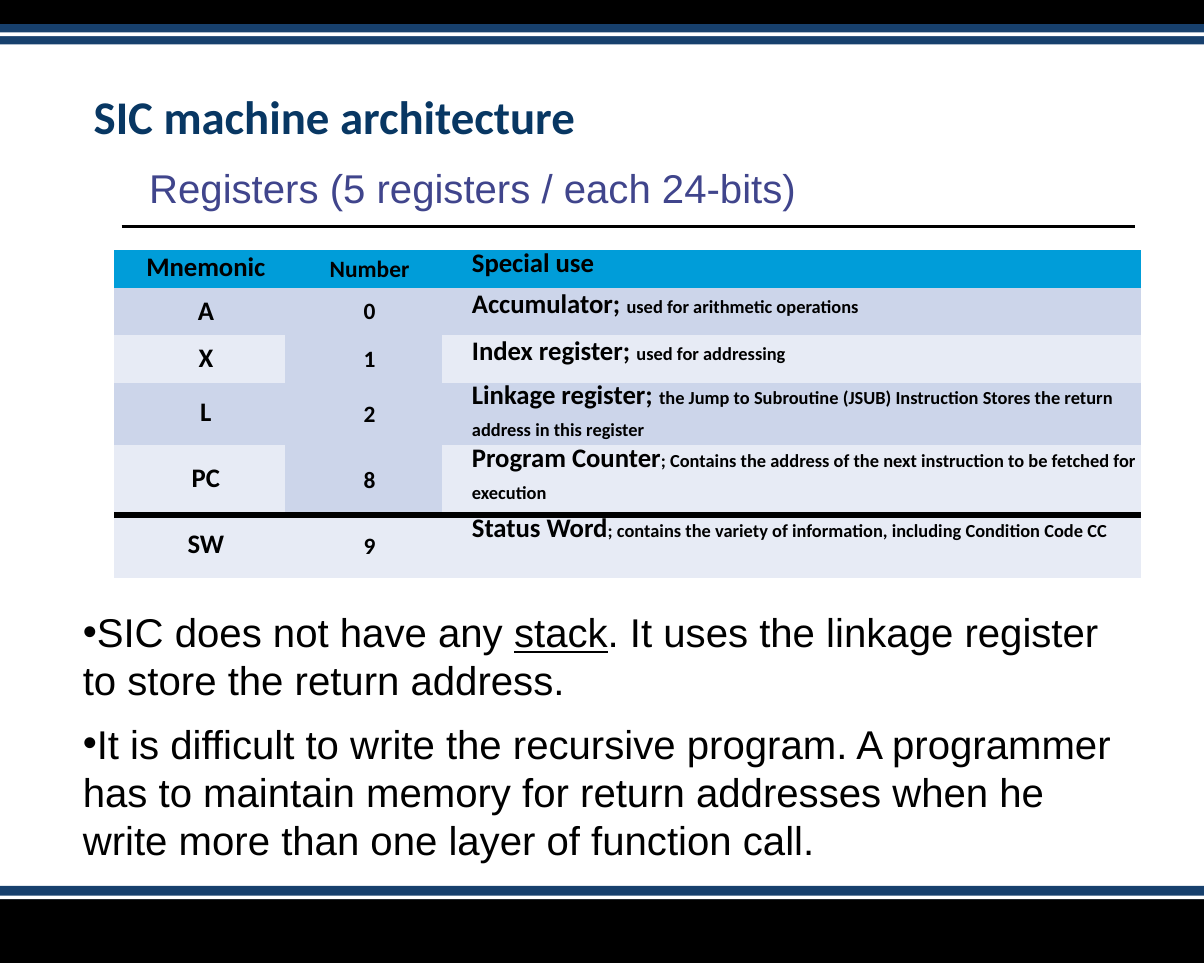
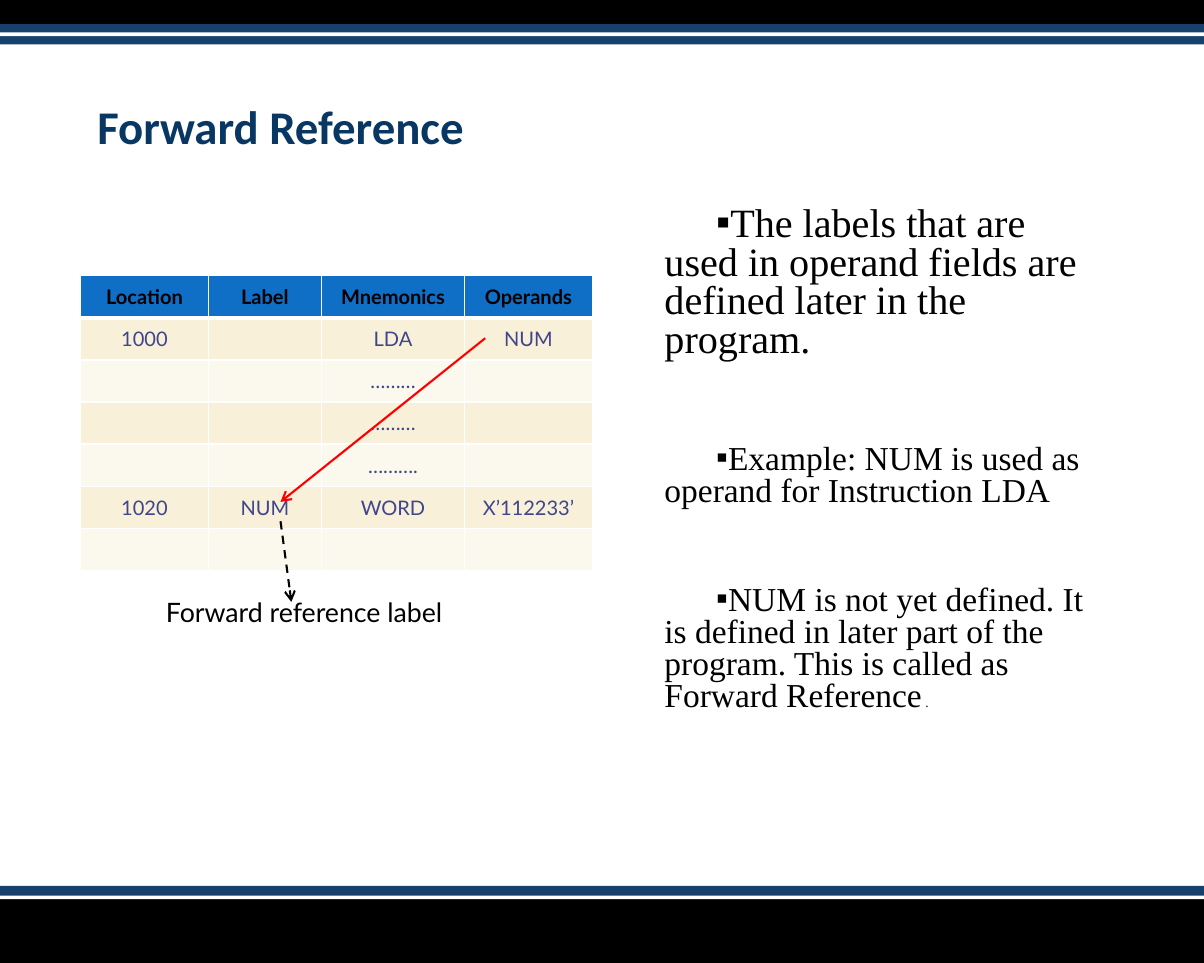
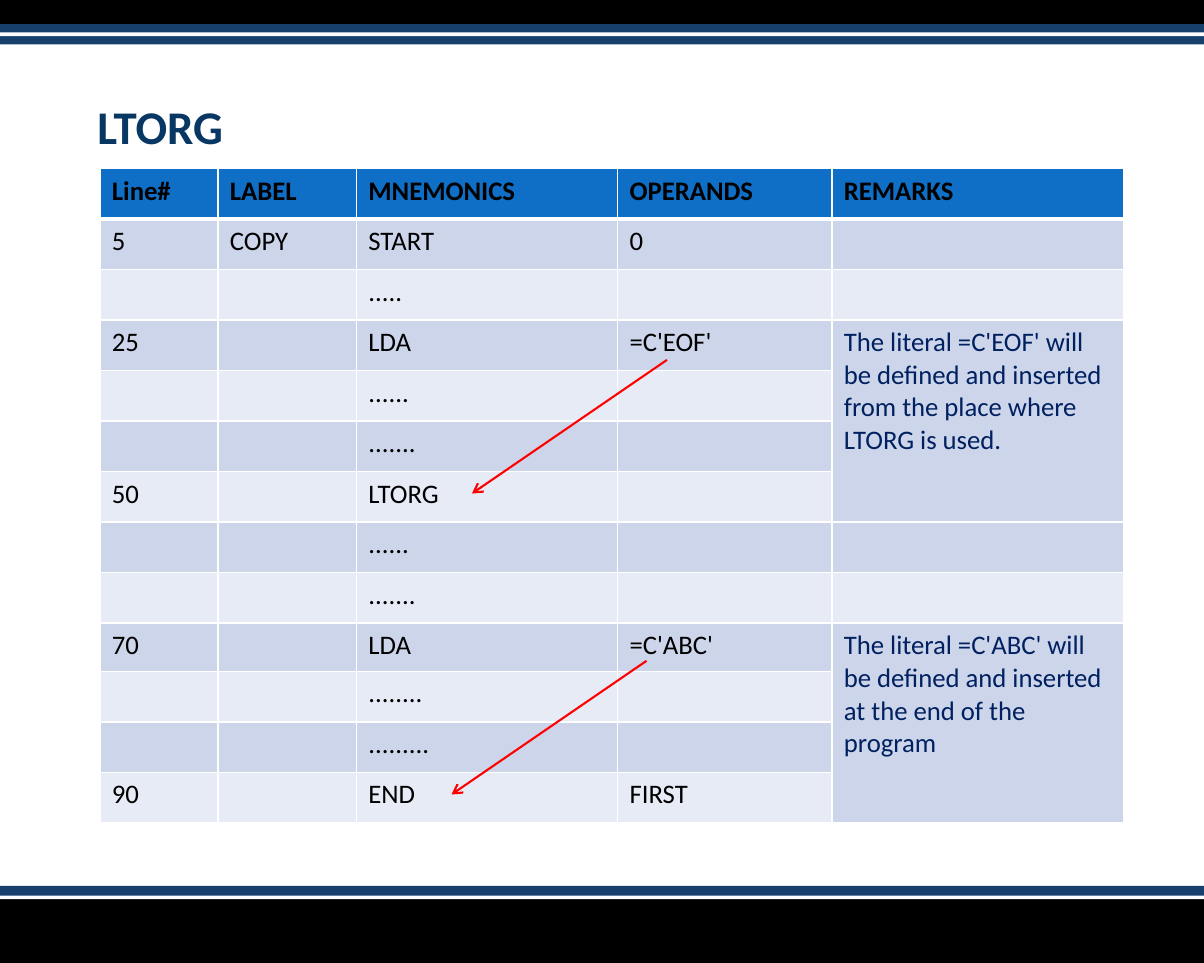
from lxml import etree
from pptx import Presentation
from pptx.dml.color import RGBColor
from pptx.enum.dml import MSO_LINE_DASH_STYLE
from pptx.enum.shapes import MSO_CONNECTOR, MSO_SHAPE
from pptx.enum.text import MSO_ANCHOR, PP_ALIGN
from pptx.oxml.ns import qn
from pptx.util import Inches, Pt

RECTANGLE = MSO_SHAPE.RECTANGLE
STRAIGHT = MSO_CONNECTOR.STRAIGHT
DASH = MSO_LINE_DASH_STYLE.DASH
CENTER = PP_ALIGN.CENTER
TOP, MIDDLE, BOTTOM = MSO_ANCHOR.TOP, MSO_ANCHOR.MIDDLE, MSO_ANCHOR.BOTTOM

COLORS = {
    "black": "000000", "white": "FFFFFF", "red": "FF0000",
    "band": "17406D", "title": "083763", "violet": "40458C", "remark": "002060",
    "cyan": "009DD9", "blue": "0F6FC6",
    "lavender": "CCD5EA", "pale": "E7EBF5",
    "sand": "F8F0D8", "cream": "FBF8ED",
}
NO_TABLE_STYLE = "{2D5ABB26-0587-4C30-8999-92F81FD0307C}"
BORDER_TAGS = {"left": "a:lnL", "right": "a:lnR", "top": "a:lnT", "bottom": "a:lnB"}
BANDS = [  # top, height, colour
    (7.47, 0.53, "black"), (7.36, 0.11, "band"), (7.44, 0.03, "white"),
    (0, 0.2, "black"), (0.2, 0.17, "band"), (0.27, 0.03, "white"),
]


def rgb(name):
    return RGBColor.from_string(COLORS[name])


def write(frame, text, size=16, font="Calibri", color="black", bold=False, align=None,
          line_spacing=None, space_before=None, margin=0, indent=0, bullet=None):
    """Add a paragraph; text is a string or a list of (text, run overrides)."""
    paragraph = frame.paragraphs[0]
    if paragraph.runs:
        paragraph = frame.add_paragraph()
    paragraph.alignment = align
    if line_spacing:
        paragraph.line_spacing = line_spacing
    if space_before:
        paragraph.space_before = Pt(space_before)
    properties = paragraph._p.get_or_add_pPr()
    properties.set("marL", str(Inches(margin)))
    properties.set("indent", str(Inches(indent)))
    if bullet:
        bullet_color = etree.SubElement(properties, qn("a:buClr"))
        etree.SubElement(bullet_color, qn("a:srgbClr"), val=COLORS[color])
        etree.SubElement(properties, qn("a:buFont"), typeface="Arial")
        etree.SubElement(properties, qn("a:buChar"), char=bullet)
    if not text:
        etree.SubElement(paragraph._p, qn("a:endParaRPr"), sz=str(size * 100))
        return
    for content, changes in [(text, {})] if isinstance(text, str) else text:
        run = paragraph.add_run()
        run.text = content
        run.font.name = font
        run.font.size = Pt(changes.get("size", size))
        run.font.bold = bold
        run.font.underline = changes.get("underline")
        run.font.color.rgb = rgb(color)


def add_text_box(slide, box, anchor=TOP):
    frame = slide.shapes.add_textbox(*map(Inches, box)).text_frame
    frame.word_wrap = True
    frame.vertical_anchor = anchor
    return frame


def add_line(slide, start, end, color, width, arrow=False, dash=None):
    connector = slide.shapes.add_connector(STRAIGHT, *map(Inches, start + end))
    connector.line.color.rgb = rgb(color)
    connector.line.width = Pt(width)
    if dash:
        connector.line.dash_style = dash
    properties = connector._element.spPr
    if arrow:
        etree.SubElement(properties.find(qn("a:ln")), qn("a:tailEnd"), type="arrow")
    etree.SubElement(properties, qn("a:effectLst"))


def set_borders(cell, **borders):
    """Draw the given sides, each as (colour, width in points)."""
    properties = cell._tc.get_or_add_tcPr()
    sides = [side for side in BORDER_TAGS if side in borders]
    for position, side in enumerate(sides):
        color, width = borders[side]
        line = etree.Element(qn(BORDER_TAGS[side]), w=str(Pt(width)))
        fill = etree.SubElement(line, qn("a:solidFill"))
        etree.SubElement(fill, qn("a:srgbClr"), val=COLORS[color])
        properties.insert(position, line)


def add_grid(slide, left, top, columns, rows):
    width, height = sum(columns), sum(rows)
    frame = slide.shapes.add_table(len(rows), len(columns), *map(Inches, (left, top, width, height)))
    table = frame.table
    table.first_row = table.horz_banding = False
    table._tbl.tblPr.find(qn("a:tableStyleId")).text = NO_TABLE_STYLE
    for column, column_width in zip(table.columns, columns):
        column.width = Inches(column_width)
    for row, row_height in zip(table.rows, rows):
        row.height = Inches(row_height)
    return table


def fill_cell(cell, fill, text, anchor=TOP, **text_format):
    cell.fill.solid()
    cell.fill.fore_color.rgb = rgb(fill)
    cell.vertical_anchor = anchor
    write(cell.text_frame, text, **text_format)


def add_ruled_table(slide, left, top, columns, rows, content, stripes, anchor=TOP,
                    body_color="black", **text_format):
    """Table with a blue bold header, striped rows and white rules."""
    table = add_grid(slide, left, top, columns, rows)
    for row_index, texts in enumerate(content):
        header = row_index == 0
        fill = "blue" if header else stripes[(row_index - 1) % 2]
        for column_index, text in enumerate(texts):
            cell = table.cell(row_index, column_index)
            fill_cell(cell, fill, text, anchor, bold=header,
                      color="black" if header else body_color, **text_format)
            set_borders(cell, left=("white", 1), right=("white", 1),
                        top=("white", 3 if row_index == 1 else 1),
                        bottom=("white", 3 if header else 1))
    return table


def add_slide(presentation, title, title_box=(0.71, 0.57, 8.58, 0.76)):
    """Blank slide with the bands and the title."""
    slide = presentation.slides.add_slide(presentation.slide_layouts[6])
    for top, height, color in BANDS:
        band = slide.shapes.add_shape(RECTANGLE, *map(Inches, (0, top, 10, height)))
        band.shadow.inherit = False
        band.fill.solid()
        band.fill.fore_color.rgb = rgb(color)
        band.line.fill.background()
    write(add_text_box(slide, title_box, BOTTOM), title, size=28, color="title", bold=True,
          line_spacing=0.9)
    return slide


def add_register_table(slide, left, top):
    small = {"size": 11}
    registers = [
        ("Mnemonic", "Number", "Special use"),
        ("A", "0", [("Accumulator; ", {}), ("used for arithmetic operations", small)]),
        ("X", "1", [("Index register; ", {}), ("used for addressing", small)]),
        ("L", "2", [("Linkage register; ", {}),
                    ("the Jump to Subroutine (JSUB) Instruction Stores the return address "
                     "in this register", small)]),
        ("PC", "8", [("Program Counter", {}),
                     ("; Contains the address of the next instruction to be fetched for "
                      "execution", small)]),
        ("SW", "9", [("Status Word", {}),
                     ("; contains the variety of information, including Condition Code CC",
                      small)]),
    ]
    row_fills = ["cyan", "lavender", "pale", "lavender", "pale", "pale"]
    table = add_grid(slide, left, top, [1.42, 1.3, 5.81], [0.31, 0.39, 0.4, 0.52, 0.58, 0.52])
    last_row = len(registers) - 1
    for row_index, texts in enumerate(registers):
        for column_index, text in enumerate(texts):
            cell = table.cell(row_index, column_index)
            cell.margin_left = cell.margin_right = cell.margin_top = cell.margin_bottom = 0
            number, use = column_index == 1, column_index == 2
            fill = "lavender" if number and 0 < row_index < last_row else row_fills[row_index]
            single = row_index in (1, 2) and not number
            fill_cell(cell, fill, text, TOP if use else MIDDLE, bold=True,
                      size=14 if number else 16, align=None if use else CENTER,
                      margin=0.25 if use else 0.1,
                      line_spacing=None if single else Pt(17.6))
            if row_index == last_row:
                set_borders(cell, top=("black", 4))


def build_registers(presentation):
    slide = add_slide(presentation, "SIC machine architecture", (0.68, 0.5, 8.5, 0.75))
    add_register_table(slide, 0.95, 2.08)
    add_line(slide, (1.01, 1.88), (9.43, 1.88), "black", 1.92)
    notes = add_text_box(slide, (0.59, 4.98, 8.9, 2.26), MIDDLE)
    body = {"size": 24, "font": "Arial", "bullet": "•"}
    write(notes, [("SIC does not have any ", {}), ("stack", {"underline": True}),
                  (". It uses the linkage register to store the return address.", {})], **body)
    write(notes, "It is difficult to write the recursive program. A programmer has to maintain "
          "memory for return addresses when he write more than one layer of function call.",
          space_before=9, **body)
    write(add_text_box(slide, (1.14, 1.31, 7.72, 0.51)),
          "Registers (5 registers / each 24-bits)", size=24, font="Arial", color="violet")


def build_forward_reference(presentation):
    slide = add_slide(presentation, "Forward Reference")
    body = add_text_box(slide, (5.19, 1.67, 3.98, 4.67))
    points = [
        ("The labels that are used in operand fields are defined later in the program.", 24, None),
        ("Example: NUM is used as operand for Instruction LDA", 20, 50),
        ([("NUM is not yet defined. It is defined in later part of the program. "
           "This is called as Forward Reference", {}), (" .", {"size": 8})], 20, 46),
    ]
    for text, size, gap in points:
        write(body, text, size=size, font="Times New Roman", line_spacing=0.8,
              space_before=gap, margin=0.23, indent=0.43, bullet="▪")
    content = [
        ("Location", "Label", "Mnemonics", "Operands"),
        ("1000", "", "LDA", "NUM"),
        ("", "", "………", ""),
        ("", "", "………", ""),
        ("", "", "……….", ""),
        ("1020", "NUM", "WORD", "X’112233’"),
        ("", "", "", ""),
    ]
    add_ruled_table(slide, 0.67, 2.29, [1.06, 0.94, 1.19, 1.06], [0.35] * len(content), content,
                    ("sand", "cream"), MIDDLE, "violet", size=12, font="Lato", align=CENTER)
    add_line(slide, (4.03, 2.81), (2.33, 4.17), "red", 1.25, arrow=True)
    add_line(slide, (2.33, 4.33), (2.42, 5), "black", 1.25, arrow=True, dash=DASH)
    write(add_text_box(slide, (1.28, 4.9, 3.01, 0.64)), "Forward reference label", font="Lato")


def build_ltorg(presentation):
    slide = add_slide(presentation, "LTORG")
    content = [
        ("Line#", "LABEL", "MNEMONICS", "OPERANDS", "REMARKS"),
        ("5", "COPY", "START", "0", ""),
        ("", "", ".....", "", ""),
        ("25", "", "LDA", "=C'EOF'", ""),
        ("", "", "......", "", ""),
        ("", "", ".......", "", ""),
        ("50", "", "LTORG", "", ""),
        ("", "", "......", "", ""),
        ("", "", ".......", "", ""),
        ("70", "", "LDA", "=C'ABC'", ""),
        ("", "", "........", "", ""),
        ("", "", ".........", "", ""),
        ("90", "", "END", "FIRST", ""),
    ]
    remarks = {
        3: "The literal =C'EOF' will be defined and inserted from the place where LTORG is used.",
        9: "The literal =C'ABC' will be defined and inserted at the end of the program",
    }
    rows = [0.4 if index == 9 else 0.42 for index in range(len(content))]
    table = add_ruled_table(slide, 0.83, 1.4, [0.98, 1.15, 2.17, 1.78, 2.42], rows, content,
                            ("lavender", "pale"))
    for first_row, remark in remarks.items():
        cell = table.cell(first_row, 4)
        cell.merge(table.cell(first_row + 3, 4))
        cell.text_frame.clear()
        write(cell.text_frame, remark, color="remark")
    for left, top in [(3.92, 2.99), (3.75, 5.49)]:
        add_line(slide, (left + 1.62, top), (left, top + 1.11), "red", 1.25, arrow=True)


def main():
    presentation = Presentation()
    presentation.slide_width = Inches(10)
    presentation.slide_height = Inches(8)
    build_registers(presentation)
    build_forward_reference(presentation)
    build_ltorg(presentation)
    presentation.save("out.pptx")


if __name__ == "__main__":
    main()
